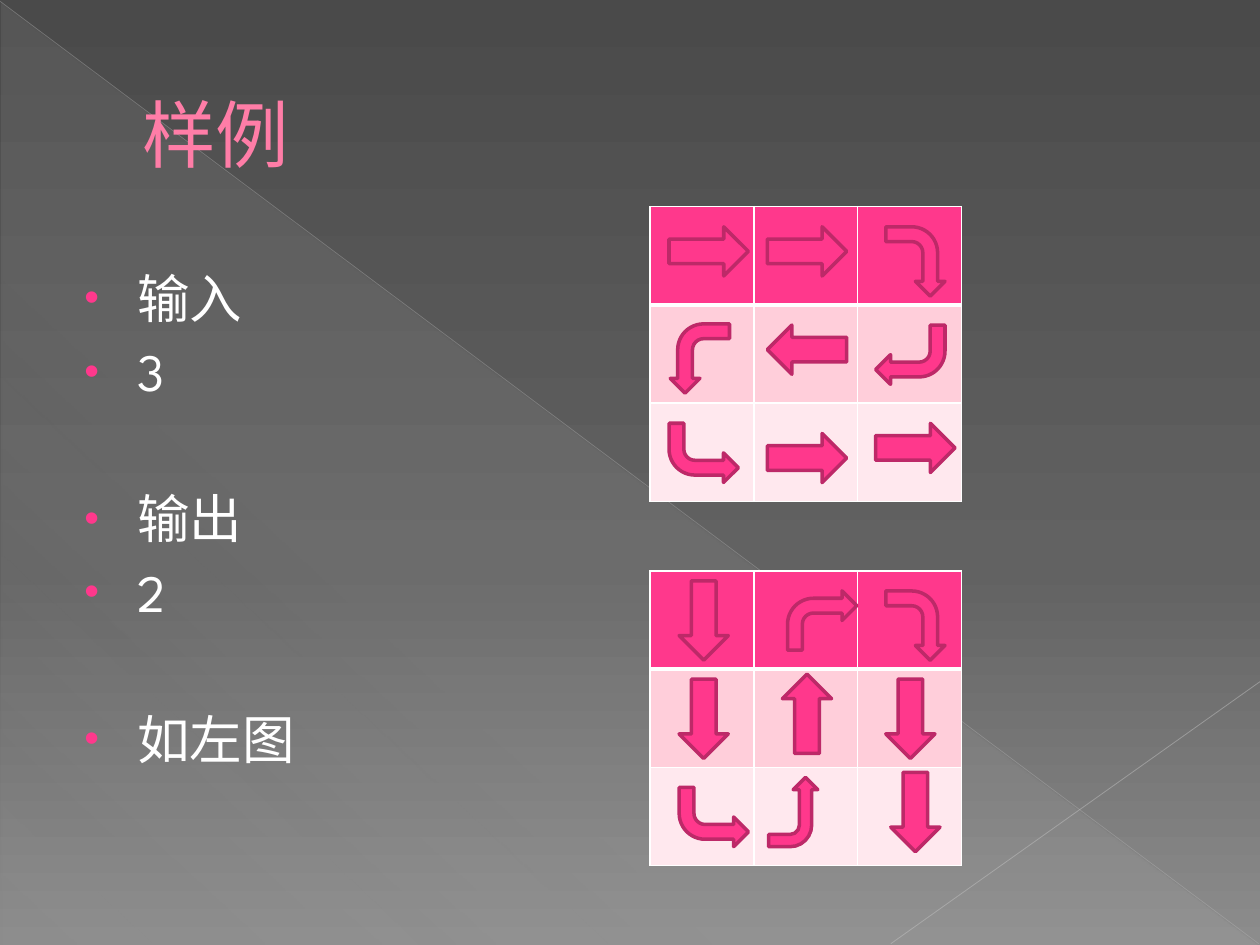
import pptx
import pptx.dml.color
import pptx.enum.shapes
import pptx.enum.text
import pptx.oxml
import pptx.oxml.ns
import pptx.util

Inches, Pt = pptx.util.Inches, pptx.util.Pt
qn = pptx.oxml.ns.qn
SHAPE = pptx.enum.shapes.MSO_SHAPE
FONT = "League Spartan"
PINK, WHITE = "FF388C", "FFFFFF"
ROW_FILLS = [PINK, "FFCEDA", "FFE8EE"]
TABLE_SIZE = (2.47, 2.34)

# Arrow kinds: preset, width, height
STRAIGHT = (SHAPE.RIGHT_ARROW, 0.63, 0.39)
BENT = (SHAPE.BENT_ARROW, 0.55, 0.47)
THIN_BENT = (SHAPE.BENT_ARROW, 0.55, 0.39)

# Kind, left and top within the grid, rotation, flips
INPUT_ARROWS = [
    (STRAIGHT, 0.15, 0.16, 0, ""),
    (STRAIGHT, 0.93, 0.16, 0, ""),
    (BENT, 1.83, 0.2, 90, ""),
    (BENT, 1.79, 0.94, 180, ""),
    (STRAIGHT, 0.93, 0.94, 0, "H"),
    (BENT, 0.12, 0.97, 90, "V"),
    (BENT, 0.15, 1.72, 0, "V"),
    (STRAIGHT, 1.79, 1.72, 0, ""),
    (STRAIGHT, 0.93, 1.8, 0, ""),
]
OUTPUT_ARROWS = [
    (STRAIGHT, 0.11, 0.2, 90, ""),
    (STRAIGHT, 0.11, 0.98, 90, ""),
    (BENT, 1.83, 0.2, 90, ""),
    (THIN_BENT, 0.86, 1.72, 270, "V"),
    (STRAIGHT, 0.93, 0.94, 90, "H"),
    (BENT, 1.09, 0.16, 180, "HV"),
    (BENT, 0.23, 1.72, 0, "V"),
    (STRAIGHT, 1.79, 1.72, 90, ""),
    (STRAIGHT, 1.75, 0.98, 90, ""),
]


def rgb(color):
    return pptx.dml.color.RGBColor.from_string(color)


def element(tag, content="", **attributes):
    """Make one drawing element with the given inner XML."""
    attrs = "".join(f' {name}="{value}"' for name, value in attributes.items())
    return pptx.oxml.parse_xml(
        f'<a:{tag} {pptx.oxml.ns.nsdecls("a")}{attrs}>{content}</a:{tag}>'
    )


def solid(color):
    return f'<a:solidFill><a:srgbClr val="{color}"/></a:solidFill>'


def set_gradient(fill, parent, stops, angle):
    """Give a fill a gradient of (position, colour, opacity) stops."""
    fill.gradient()
    gs = "".join(
        f'<a:gs pos="{pos * 1000}"><a:srgbClr val="{color}">'
        f'<a:alpha val="{opacity * 1000}"/></a:srgbClr></a:gs>'
        for pos, color, opacity in stops
    )
    parent.replace(parent.find(qn("a:gradFill")), element(
        "gradFill",
        f'<a:gsLst>{gs}</a:gsLst><a:lin ang="{angle * 60000}" scaled="0"/>',
        rotWithShape=1,
    ))


def add_thin_line(s, start, end, color, width, opacity):
    line = s.shapes.add_connector(
        pptx.enum.shapes.MSO_CONNECTOR.STRAIGHT,
        *(Inches(v) for v in start + end),
    )
    line.line.color.rgb = rgb(color)
    line.line.width = Pt(width)
    sp_pr = line._element.spPr
    sp_pr.find(".//" + qn("a:srgbClr")).append(element("alpha", val=opacity * 1000))
    sp_pr.append(element("effectLst"))


def add_backdrop(s, left, top, width, height):
    fill = s.background.fill
    set_gradient(fill, s._element.find(".//" + qn("p:bgPr")),
                 [(0, "4A4A4A", 100), (60, "626262", 100), (100, "8C8C8C", 100)], 90)
    sp = s.shapes.add_shape(
        SHAPE.RIGHT_TRIANGLE, Inches(left + 0.01), Inches(top + 0.02),
        Inches(width - 0.02), Inches(height - 0.02),
    )
    sp.shadow.inherit = False
    sp.line.fill.background()
    set_gradient(sp.fill, sp._element.spPr,
                 [(0, "D2D2D2", 10), (70, "D2D2D2", 8), (100, "D2D2D2", 1)], 133)
    right, bottom = left + width, top + height - 0.01
    add_thin_line(s, (left, top + 0.01), (right - 0.01, bottom), "BFBFBF", 0.39, 35)
    add_thin_line(s, (right, top + 5.41), (left + 7.07, bottom), "C6C6C6", 0.47, 45)


def place(s, sp, left, top, width, height):
    """Position a placeholder and bring it in front of the backdrop."""
    sp.left, sp.top = Inches(left), Inches(top)
    sp.width, sp.height = Inches(width), Inches(height)
    s.shapes._spTree.append(sp._element)


def format_paragraph(p, size, color, margin, indent):
    p.alignment = pptx.enum.text.PP_ALIGN.LEFT
    p_pr = p._p.get_or_add_pPr()
    p_pr.set("marL", str(Inches(margin)))
    p_pr.set("indent", str(Inches(indent)))
    for r in p.runs:
        r.font.name = FONT
        r.font.size = Pt(size)
        r.font.color.rgb = rgb(color)


def add_title(s, text, *box):
    sp = s.shapes.title
    place(s, sp, *box)
    tf = sp.text_frame
    tf.text = text
    tf.vertical_anchor = pptx.enum.text.MSO_ANCHOR.MIDDLE
    p = tf.paragraphs[0]
    format_paragraph(p, 42, "FF7DA7", 0.53, 0)
    outline = element("ln", solid("B12761"), w=Pt(0.5))
    p.runs[0]._r.get_or_add_rPr().insert(0, outline)


def add_list(s, groups, *box):
    """Fill the body with bulleted groups, one line apart."""
    sp = s.placeholders[1]
    place(s, sp, *box)
    tf = sp.text_frame
    tf.text = "\n".join(text for group in groups for text in group)
    gaps = [48 if i == 0 else 6 for group in groups for i in range(len(group))]
    gaps[0] = 0
    for p, gap in zip(tf.paragraphs, gaps):
        format_paragraph(p, 30, WHITE, 0.49, -0.42)
        p.space_before = Pt(gap)
        p._p.pPr.extend([
            element("buClr", f'<a:srgbClr val="{PINK}"/>'),
            element("buSzPct", val=80000),
            element("buFont", typeface="Arial"),
            element("buChar", char="•"),
        ])


def format_cell(cell, row):
    """Colour a cell; a thick rule separates the first row."""
    tc_pr = cell._tc.get_or_add_tcPr()
    widths = {"L": 1, "R": 1, "T": 3 if row == 1 else 1, "B": 3 if row == 0 else 1}
    for side, width in widths.items():
        tc_pr.append(element("ln" + side, solid(WHITE), w=Pt(width)))
    cell.fill.solid()
    cell.fill.fore_color.rgb = rgb(ROW_FILLS[row])


def add_arrow_grid(s, arrows, left, top, width, height):
    n = len(ROW_FILLS)
    table = s.shapes.add_table(
        n, n, Inches(left), Inches(top), Inches(width), Inches(height)
    ).table
    for row in range(n):
        for col in range(n):
            format_cell(table.cell(row, col), row)
    for (preset, w, h), x, y, rotation, flips in arrows:
        sp = s.shapes.add_shape(
            preset, Inches(left + x), Inches(top + y), Inches(w), Inches(h)
        )
        sp.shadow.inherit = False
        sp.fill.solid()
        sp.fill.fore_color.rgb = rgb(PINK)
        sp.line.color.rgb = rgb("BD2968")
        sp.line.width = Pt(2)
        sp.rotation = rotation
        for axis in flips:
            sp._element.spPr.find(qn("a:xfrm")).set("flip" + axis, "1")


def main():
    prs = pptx.Presentation()
    prs.slide_width, prs.slide_height = Inches(10), Inches(7.5)
    s = prs.slides.add_slide(prs.slide_layouts[1])
    add_backdrop(s, 0, 0, 10, 7.5)
    add_title(s, "样例", 0.5, 0.29, 9, 1.53)
    add_list(s, [["输入", "3"], ["输出", "2"], ["如左图"]], 0.5, 2.06, 9, 5)
    add_arrow_grid(s, INPUT_ARROWS, 5.16, 1.64, *TABLE_SIZE)
    add_arrow_grid(s, OUTPUT_ARROWS, 5.16, 4.53, *TABLE_SIZE)
    prs.save("out.pptx")


if __name__ == "__main__":
    main()
